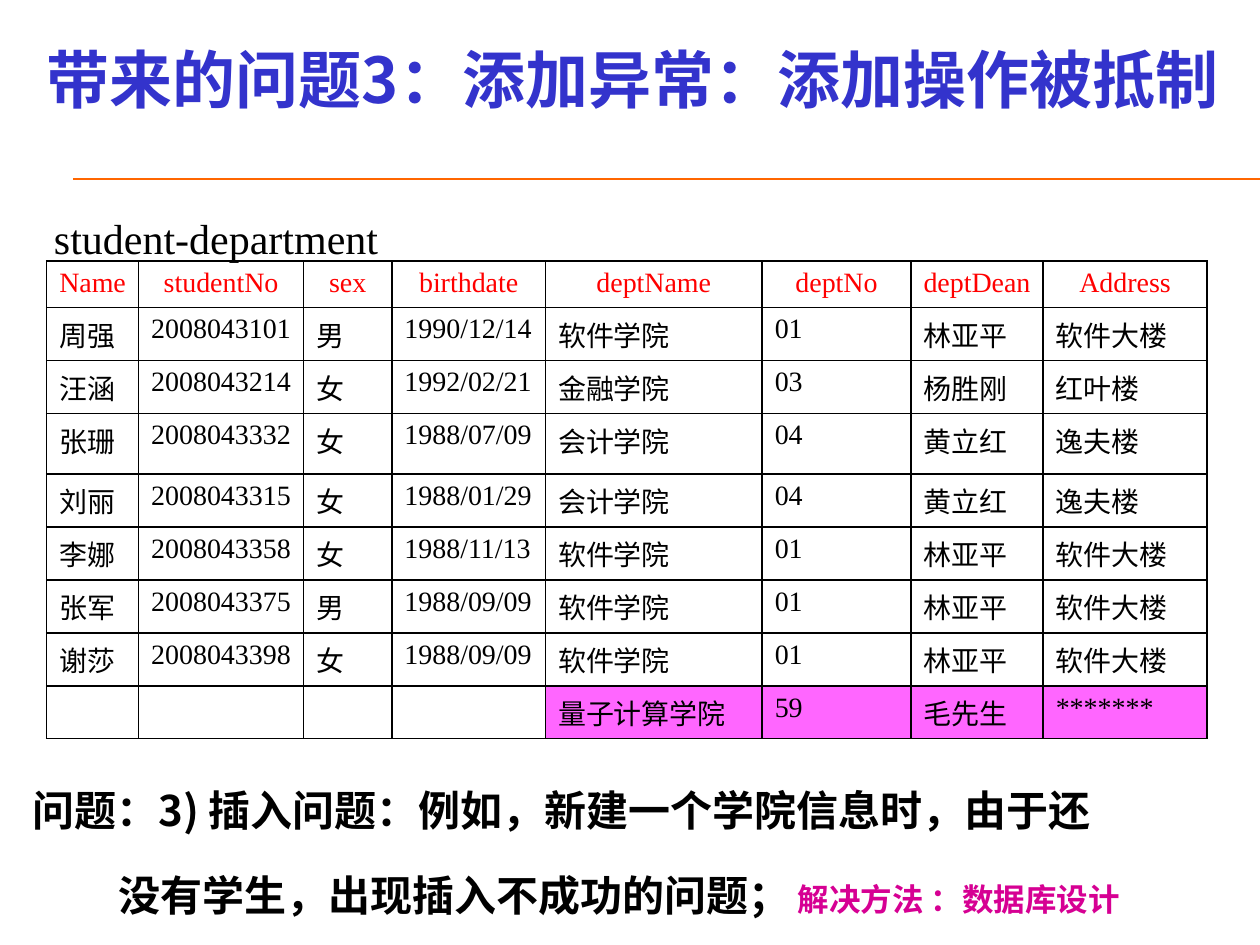
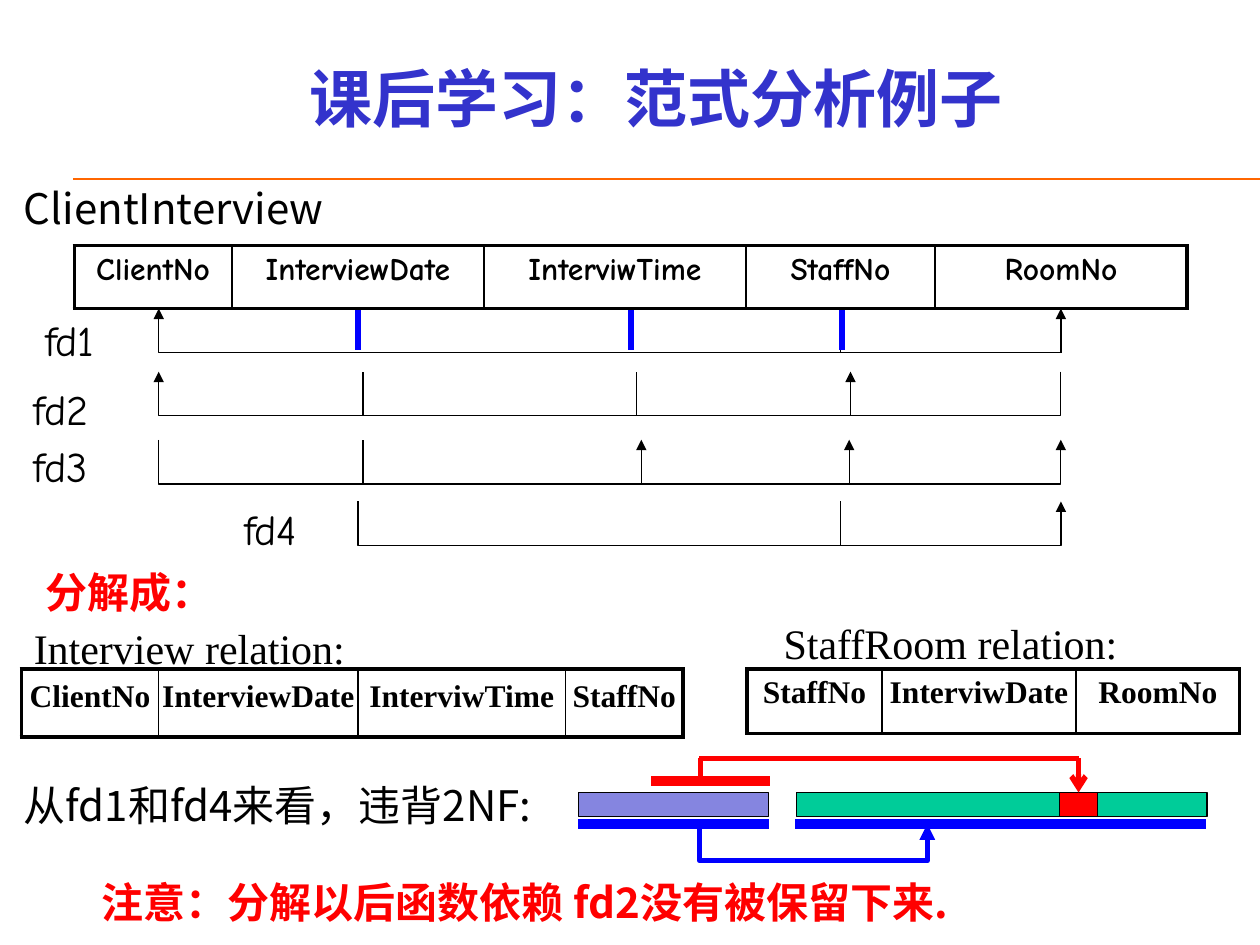
from lxml import etree
from pptx import Presentation
from pptx.dml.color import RGBColor
from pptx.enum import shapes, text
from pptx.oxml.ns import qn
from pptx.util import Inches, Pt

BLACK = RGBColor(0x00, 0x00, 0x00)
RED = RGBColor(0xFF, 0x00, 0x00)
BLUE = RGBColor(0x00, 0x00, 0xFF)
TITLE_BLUE = RGBColor(0x33, 0x33, 0xCC)
ORANGE = RGBColor(0xFF, 0x66, 0x00)
MAGENTA = RGBColor(0xD6, 0x00, 0x93)
PINK = RGBColor(0xFF, 0x66, 0xFF)
LILAC = RGBColor(0x85, 0x85, 0xE0)
GREEN = RGBColor(0x00, 0xCC, 0x99)
SANS, SERIF, COMIC = "Noto Sans CJK SC", "Times New Roman", "Comic Neue"


def style(span, size, color=BLACK, font=SANS, bold=False):
    span.font.size = Pt(size)
    span.font.bold = bold
    span.font.color.rgb = color
    span.font.name = font
    etree.SubElement(span.font._element, qn("a:ea"), typeface=SANS)


def draw(page, points, color=BLACK, width=0.75, arrow=None):
    """Draw a line through the points, with an optional arrowhead at the last."""
    places = [(Inches(x), Inches(y)) for x, y in points]
    if len(places) == 2:
        stroke = page.shapes.add_connector(
            shapes.MSO_CONNECTOR.STRAIGHT, *places[0], *places[1])
    else:
        builder = page.shapes.build_freeform(*places[0])
        builder.add_line_segments(places[1:], close=False)
        stroke = builder.convert_to_shape()
        stroke.fill.background()
    stroke.line.color.rgb = color
    stroke.line.width = Pt(width)
    properties = stroke._element.spPr
    if arrow:
        etree.SubElement(properties.find(qn("a:ln")), qn("a:tailEnd"), type=arrow)
    etree.SubElement(properties, qn("a:effectLst"))
    return stroke


deck = Presentation()
deck.slide_width, deck.slide_height = Inches(10), Inches(7.5)
layout = deck.slide_layouts[1]
anomaly = deck.slides.add_slide(layout)
example = deck.slides.add_slide(layout)

# The orange rule belongs to the layout both slides use
rule = draw(anomaly, [(0.58, 1.42), (10, 1.42)], ORANGE)
layout.shapes.element.append(rule._element)

# Titles and body text
for page, title, title_at, lines, body_at in [
    (anomaly, "带来的问题3：添加异常：添加操作被抵制", (0.16, 0, 9.72, 1.25),
     ["问题：3) 插入问题：例如，新建一个学院信息时，由于还",
      "没有学生，出现插入不成功的问题；"], (0.16, 5.98, 9.73, 1.47)),
    (example, "课后学习：范式分析例子", (0.96, 0.15, 8.5, 1.25),
     ["ClientInterview"], (0.09, 1.2, 9.75, 0.67)),
]:
    heading, body = page.shapes.title, page.placeholders[1]
    for holder, place in [(heading, title_at), (body, body_at)]:
        holder.left, holder.top, holder.width, holder.height = map(Inches, place)
    heading.text_frame.text = title
    heading.text_frame.vertical_anchor = text.MSO_ANCHOR.MIDDLE
    heading.text_frame.paragraphs[0].alignment = text.PP_ALIGN.CENTER
    style(heading.text_frame.paragraphs[0].runs[0], 36, TITLE_BLUE, bold=True)
    body.text_frame.text = "\n".join(lines)
    for number, para in enumerate(body.text_frame.paragraphs):
        para.line_spacing = 1.5
        para.space_before = Pt(5 * number)
        indent = para._p.get_or_add_pPr()
        indent.set("marL", str(Inches(0.68 * number)))
        indent.set("indent", "0")
        etree.SubElement(indent, qn("a:buNone"))
        style(para.runs[0], 24, bold=page is anomaly)
    for holder in (heading, body):
        holder.text_frame.auto_size = text.MSO_AUTO_SIZE.NONE

solution = anomaly.placeholders[1].text_frame.paragraphs[1].add_run()
solution.text = " 解决方法 ：数据库设计"
style(solution, 18, MAGENTA, bold=True)

# Tables
students = [
    ["Name", "studentNo", "sex", "birthdate", "deptName", "deptNo", "deptDean", "Address"],
    ["周强", "2008043101", "男", "1990/12/14", "软件学院", "01", "林亚平", "软件大楼"],
    ["汪涵", "2008043214", "女", "1992/02/21", "金融学院", "03", "杨胜刚", "红叶楼"],
    ["张珊", "2008043332", "女", "1988/07/09", "会计学院", "04", "黄立红", "逸夫楼"],
    ["刘丽", "2008043315", "女", "1988/01/29", "会计学院", "04", "黄立红", "逸夫楼"],
    ["李娜", "2008043358", "女", "1988/11/13", "软件学院", "01", "林亚平", "软件大楼"],
    ["张军", "2008043375", "男", "1988/09/09", "软件学院", "01", "林亚平", "软件大楼"],
    ["谢莎", "2008043398", "女", "1988/09/09", "软件学院", "01", "林亚平", "软件大楼"],
    ["", "", "", "", "量子计算学院", "59", "毛先生", "*******"],
]
tables = [
    # page, left, top, column widths, row heights, side and top inset, frame width, font, values
    (anomaly, 0.37, 2.07, [0.73, 1.31, 0.7, 1.22, 1.72, 1.18, 1.05, 1.3],
     [0.37, 0.39, 0.39, 0.48, 0.42, 0.41, 0.41, 0.41, 0.41],
     0.1, 0.05, 1, SERIF, students),
    (example, 0.59, 1.95, [1.25, 2, 2.08, 1.5, 2], [0.5], 0.1, 0.05, 2.25, COMIC,
     [["ClientNo", "InterviewDate", "InterviwTime", "StaffNo", "RoomNo"]]),
    (example, 0.17, 5.31, [1.09, 1.58, 1.65, 0.93], [0.54], 0, 0.08, 2.25, SERIF,
     [["ClientNo", "InterviewDate", "InterviwTime", "StaffNo"]]),
    (example, 5.93, 5.31, [1.07, 1.54, 1.3], [0.51], 0, 0.05, 2.25, SERIF,
     [["StaffNo", "InterviwDate", "RoomNo"]]),
]
for page, left, top, widths, heights, side, above, frame_width, font, values in tables:
    grid = page.shapes.add_table(
        len(heights), len(widths), Inches(left), Inches(top),
        Inches(sum(widths)), Inches(sum(heights))).table
    grid.first_row = grid.horz_banding = False
    for column, width in zip(grid.columns, widths):
        column.width = Inches(width)
    for row, height in zip(grid.rows, heights):
        row.height = Inches(height)
    for r, record in enumerate(values):
        for c, value in enumerate(record):
            cell = grid.cell(r, c)
            cell.margin_left = cell.margin_right = Inches(side)
            cell.margin_top = cell.margin_bottom = Inches(above)
            outer_sides = {"L": c == 0, "R": c == len(widths) - 1,
                           "T": r == 0, "B": r == len(heights) - 1}
            for edge, outer in outer_sides.items():
                border = etree.SubElement(
                    cell._tc.get_or_add_tcPr(), qn("a:ln" + edge),
                    w=str(Pt(frame_width if outer else 1)))
                ink = etree.SubElement(border, qn("a:solidFill"))
                etree.SubElement(ink, qn("a:srgbClr"), val=str(BLACK))
            if r == 8 and value:
                cell.fill.solid()
                cell.fill.fore_color.rgb = PINK
            else:
                cell.fill.background()
            if not value:
                continue
            cell.text_frame.text = value
            para = cell.text_frame.paragraphs[0]
            if r == 0:
                para.alignment = text.PP_ALIGN.CENTER
            if page is anomaly:
                style(para.runs[0], 16, BLACK if r else RED, font)
            else:
                style(para.runs[0], 18, BLACK, font, True)

# Functional dependencies: each bracket runs from its start to an arrow at its end
dependencies = [
    # name, label left and top, bracket top, start, end, plain ticks, arrow ticks
    ("fd1", 0.26, 2.49, 2.45, 6.67, 1.26, [], [8.42]),
    ("fd2", 0.17, 3.04, 2.95, 8.42, 1.26, [2.88, 5.05], [6.75]),
    ("fd3", 0.17, 3.49, 3.49, 1.26, 8.42, [2.88], [5.09, 6.74]),
    ("fd4", 1.84, 3.99, 3.98, 2.84, 8.42, [6.67], []),
]
labels = []
for name, left, label_top, top, start, end, ticks, arrows in dependencies:
    bottom = top + 0.35
    draw(example, [(start, top), (start, bottom), (end, bottom), (end, top)],
         arrow="triangle")
    for x in ticks:
        draw(example, [(x, bottom), (x, top)])
    for x in arrows:
        draw(example, [(x, bottom), (x, top)], arrow="triangle")
    labels.append((example, name, (left, label_top, 0.77, 0.46), BLACK, COMIC, False, False))
draw(example, [(6.67, 2.8), (8.42, 2.8)])
for key_x in (2.84, 5.01, 6.68):
    draw(example, [(key_x, 2.46), (key_x, 2.78)], BLUE, 3.5)

# Free text: page, wording, place, colour, font, bold, wrapped
labels += [
    (anomaly, "student-department", (0.33, 1.64, 3.25, 0.5), BLACK, SERIF, False, True),
    (example, "Interview relation:", (0.17, 4.89, 2.67, 0.5), BLACK, SERIF, False, False),
    (example, "StaffRoom relation:", (6.12, 4.85, 2.85, 0.5), BLACK, SERIF, False, False),
    (example, "分解成：", (0.26, 4.45, 1.54, 0.5), RED, SANS, True, True),
    (example, "从fd1和fd4来看，违背2NF:", (0.09, 6.14, 4.4, 0.5), BLACK, SANS, False, True),
    (example, "注意：分解以后函数依赖 fd2没有被保留下来.", (0.71, 6.91, 9, 0.5),
     RED, SANS, True, True),
]
for page, wording, place, color, font, bold, wrapped in labels:
    box = page.shapes.add_textbox(*map(Inches, place))
    frame = box.text_frame
    frame.text = wording
    frame.word_wrap = wrapped
    frame.auto_size = text.MSO_AUTO_SIZE.SHAPE_TO_FIT_TEXT
    if page is anomaly:
        frame.vertical_anchor = text.MSO_ANCHOR.MIDDLE
    if font == COMIC:
        frame.paragraphs[0].line_spacing = 0.9
    style(frame.paragraphs[0].runs[0], 24, color, font, bold)

# Partial dependency: key bar, other attributes, and the attribute that breaks 2NF
for left, width, color in [(4.59, 1.51, LILAC), (6.32, 3.26, GREEN), (8.41, 0.3, RED)]:
    bar = example.shapes.add_shape(
        shapes.MSO_SHAPE.RECTANGLE, Inches(left), Inches(6.29), Inches(width), Inches(0.19))
    bar.shadow.inherit = False
    bar.fill.solid()
    bar.fill.fore_color.rgb = color
    bar.line.color.rgb = BLACK
    bar.line.width = Pt(0.75)
violating_bar = bar

draw(example, [(4.59, 6.54), (6.1, 6.54)], BLUE, 5.5)
draw(example, [(6.31, 6.54), (9.57, 6.54)], BLUE, 5.5)
draw(example, [(5.55, 6.54), (5.55, 6.83), (7.36, 6.83), (7.36, 6.54)], BLUE, 3, "triangle")
draw(example, [(5.17, 6.2), (6.11, 6.2)], RED, 5.5)
draw(example, [(5.56, 6.02), (5.56, 6.18)], RED, 3)
draw(example, [(5.55, 6.02), (8.56, 6.02)], RED, 3)
violation = draw(example, [(8.56, 6.02), (8.56, 6.29)], RED, 3, "arrow")
violation.end_connect(violating_bar, 0)

deck.save("out.pptx")
